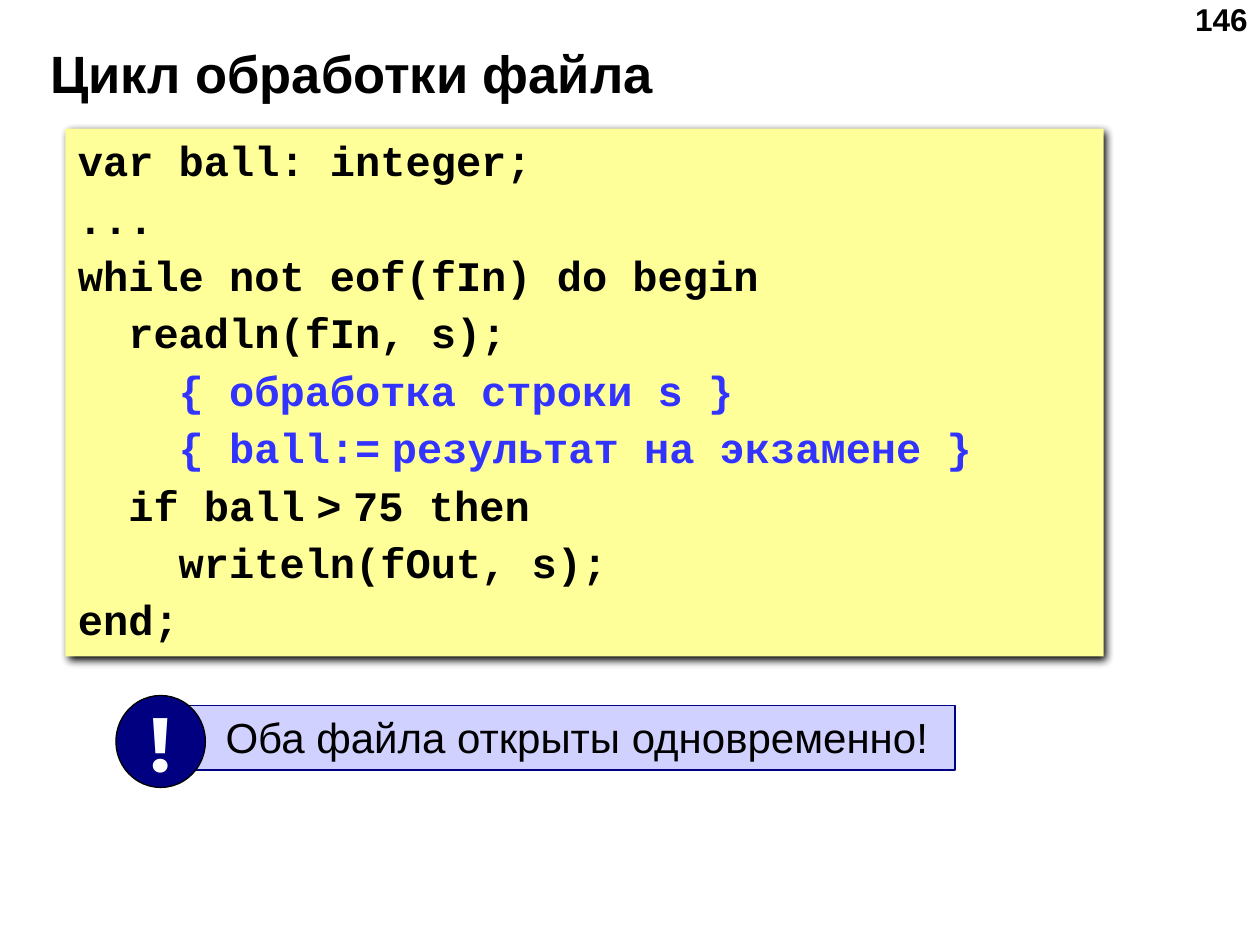
from pptx import Presentation
from pptx.dml.color import RGBColor
from pptx.enum.shapes import MSO_SHAPE as Shape
from pptx.enum.text import MSO_ANCHOR as Anchor, PP_ALIGN as Align
from pptx.oxml import parse_xml
from pptx.oxml.ns import nsdecls
from pptx.util import Inches, Pt

COLORS = {
    "black": "000000",
    "white": "FFFFFF",
    "navy": "000080",
    "code_fill": "FFFF99",
    "comment": "3333FF",
    "note_fill": "D1D1FF",
}
CODE_LINES = [
    ("var ball: integer;", "black"),
    ("...", "black"),
    ("while not eof(fIn) do begin", "black"),
    ("  readln(fIn, s);", "black"),
    ("    { обработка строки s }", "comment"),
    ("    { ball:=| |результат на экзамене }", "comment"),
    ("  if ball| |>| |75 then", "black"),
    ("    writeln(fOut, s);", "black"),
    ("end;", "black"),
]


def color(name):
    return RGBColor.from_string(COLORS[name])


def add_run(paragraph, text, size, font="Arial", color_name="black", bold=True):
    run = paragraph.add_run()
    run.text = text
    run.font.size = Pt(size)
    run.font.name = font
    run.font.bold = bold
    run.font.color.rgb = color(color_name)


def add_label(slide, box, text, size, align=Align.LEFT):
    label = slide.shapes.add_textbox(*map(Inches, box))
    label.text_frame.word_wrap = True
    paragraph = label.text_frame.paragraphs[0]
    paragraph.alignment = align
    add_run(paragraph, text, size)


def add_filled_shape(shapes, kind, box, fill, line=None, line_width=1):
    shape = shapes.add_shape(kind, *map(Inches, box))
    shape.shadow.inherit = False
    shape.fill.solid()
    shape.fill.fore_color.rgb = color(fill)
    if line:
        shape.line.color.rgb = color(line)
        shape.line.width = Pt(line_width)
    else:
        shape.line.fill.background()
    shape.text_frame.word_wrap = True
    shape.text_frame.vertical_anchor = Anchor.TOP
    shape.text_frame.paragraphs[0].alignment = Align.LEFT
    return shape


def add_drop_shadow(shape, blur, distance, angle):
    effects = shape.shadow._element.find("{*}effectLst")
    effects.append(parse_xml(
        f'<a:outerShdw {nsdecls("a")} blurRad="{Pt(blur)}" dist="{Pt(distance)}" '
        f'dir="{angle * 60000}" algn="tl" rotWithShape="0">'
        f'<a:srgbClr val="{COLORS["black"]}"/></a:outerShdw>'
    ))


def add_code(slide, box):
    """Add the listing; a bar sets off the narrow spaces around operators."""
    panel = add_filled_shape(slide.shapes, Shape.RECTANGLE, box, "code_fill")
    add_drop_shadow(panel, 5, 2.8, 45)
    frame = panel.text_frame
    for index, (line, color_name) in enumerate(CODE_LINES):
        paragraph = frame.add_paragraph() if index else frame.paragraphs[0]
        paragraph.alignment = Align.LEFT
        if index:
            paragraph.space_before = Pt(4)
        for part in line.split("|"):
            font = "Arial" if part == " " else "Courier New"
            add_run(paragraph, part, 24, font, color_name)


def add_note(slide, text):
    group = slide.shapes.add_group_shape()
    bar = add_filled_shape(group.shapes, Shape.RECTANGLE,
                           (1.5, 5.6, 6.08, 0.51), "note_fill", "navy")
    bar.text_frame.margin_left = Inches(0.29)
    add_run(bar.text_frame.paragraphs[0], text, 24, bold=False)

    badge = add_filled_shape(group.shapes, Shape.OVAL,
                             (0.92, 5.52, 0.71, 0.73), "navy", "black", 0.75)
    badge.text_frame.vertical_anchor = Anchor.MIDDLE
    paragraph = badge.text_frame.paragraphs[0]
    paragraph.alignment = Align.CENTER
    add_run(paragraph, "!", 44, "Montserrat", "white")


def main():
    presentation = Presentation()
    presentation.slide_width = Inches(10)
    presentation.slide_height = Inches(7.5)
    slide = presentation.slides.add_slide(presentation.slide_layouts[6])
    add_label(slide, (0.3, 0.28, 9.7, 0.59), "Цикл обработки файла", 30)
    add_label(slide, (7.67, -0.05, 2.33, 0.38), "146", 18, Align.RIGHT)
    add_code(slide, (0.52, 1.02, 8.24, 4.19))
    add_note(slide, "Оба файла открыты одновременно!")
    presentation.save("out.pptx")


if __name__ == "__main__":
    main()
